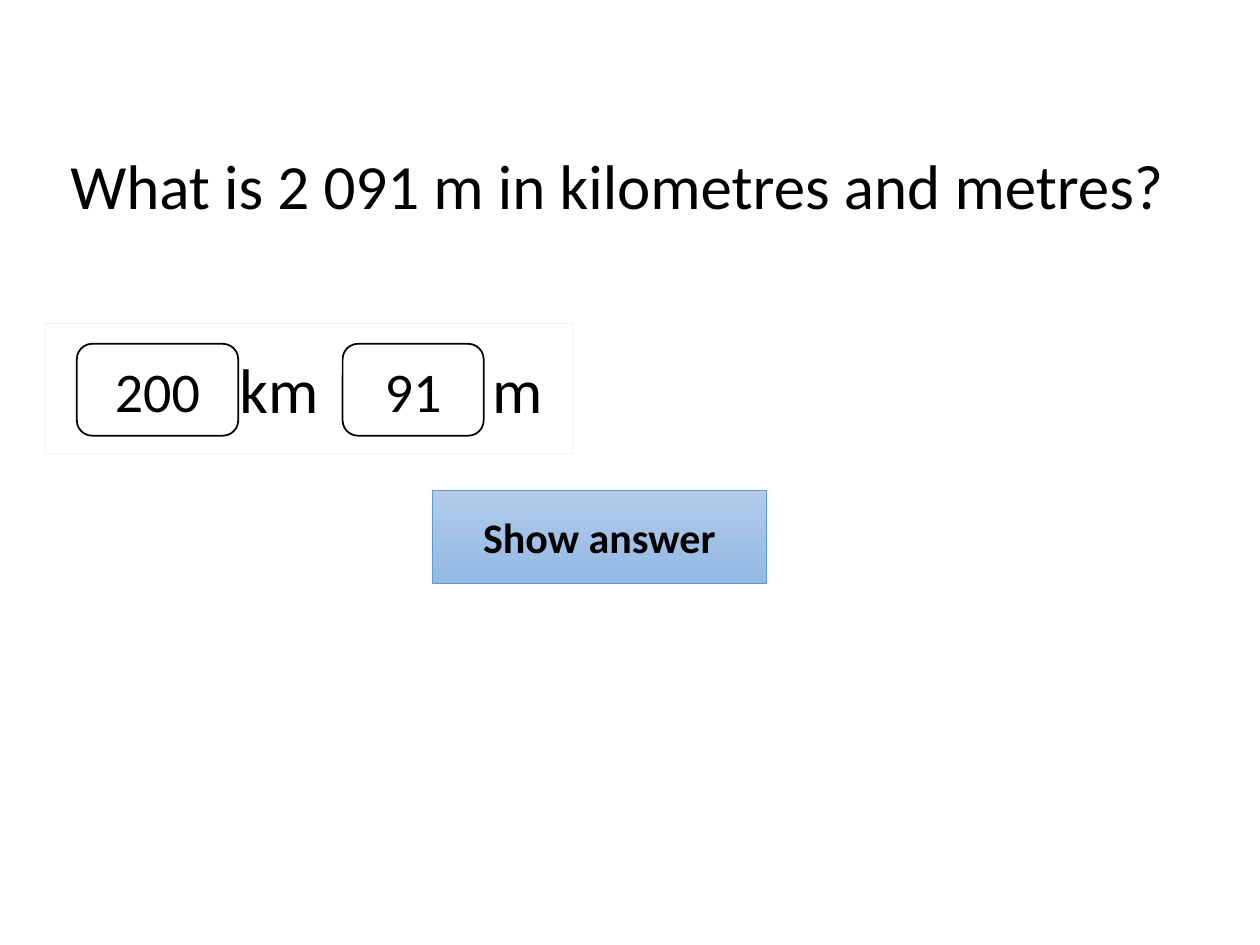
import pptx
import pptx.dml.color
import pptx.enum.shapes
import pptx.enum.text
import pptx.oxml.ns
import pptx.util
from lxml import etree

Pt = pptx.util.Pt
Shape = pptx.enum.shapes.MSO_SHAPE
Align = pptx.enum.text.PP_ALIGN


def colour(value):
    return pptx.dml.color.RGBColor.from_string(value)


def write(box, text, size=36, bold=False, align=Align.CENTER, tabs=()):
    para = box.text_frame.paragraphs[0]
    para.alignment = align
    if tabs:
        tab_list = etree.SubElement(para._p.get_or_add_pPr(), pptx.oxml.ns.qn("a:tabLst"))
        for stop in tabs:
            etree.SubElement(tab_list, pptx.oxml.ns.qn("a:tab"), pos=str(Pt(stop)), algn="l")
    span = para.add_run()
    span.text = text
    span.font.name = "Calibri"
    span.font.size = Pt(size)
    span.font.bold = bold
    span.font.color.rgb = colour("000000")


deck = pptx.Presentation()
deck.slide_width = Pt(720)
deck.slide_height = Pt(540)
page = deck.slides.add_slide(deck.slide_layouts[6])

panels = [
    (Shape.RECTANGLE, (25.2, 185, 301.7, 74.2), None, "F2F2F2", 0.5,
     "\tkm\tm", dict(align=Align.LEFT, tabs=(104.5, 249))),
    (Shape.ROUNDED_RECTANGLE, (43.9, 196.5, 92.2, 52.5), ["FFFFFF"], "000000", 1,
     "200", dict(size=32)),
    (Shape.ROUNDED_RECTANGLE, (195.8, 196.5, 80.6, 52.5), ["FFFFFF"], "000000", 1,
     "91", dict(size=32)),
    (Shape.RECTANGLE, (247, 280, 191, 53.3), ["B1CBE9", "93B9E4"], "5B9BD5", 0.5,
     "Show answer", dict(size=24, bold=True)),
]
for kind, place, fills, outline, weight, text, style in panels:
    panel = page.shapes.add_shape(kind, *map(Pt, place))
    panel.shadow.inherit = False
    panel.line.color.rgb = colour(outline)
    panel.line.width = Pt(weight)
    if not fills:
        panel.fill.background()
    elif len(fills) == 1:
        panel.fill.solid()
        panel.fill.fore_color.rgb = colour(fills[0])
    else:
        panel.fill.gradient()
        panel.fill.gradient_angle = 270
        for stop, value in zip(panel.fill.gradient_stops, fills):
            stop.color.rgb = colour(value)
    panel.text_frame.vertical_anchor = pptx.enum.text.MSO_ANCHOR.MIDDLE
    write(panel, text, **style)

question = page.shapes.add_textbox(Pt(33.1), Pt(79.9), Pt(645.1), Pt(51.1))
question.text_frame.word_wrap = False
question.text_frame.auto_size = pptx.enum.text.MSO_AUTO_SIZE.SHAPE_TO_FIT_TEXT
write(question, "What is 2 091 m in kilometres and metres?", align=Align.LEFT)

deck.save("out.pptx")
